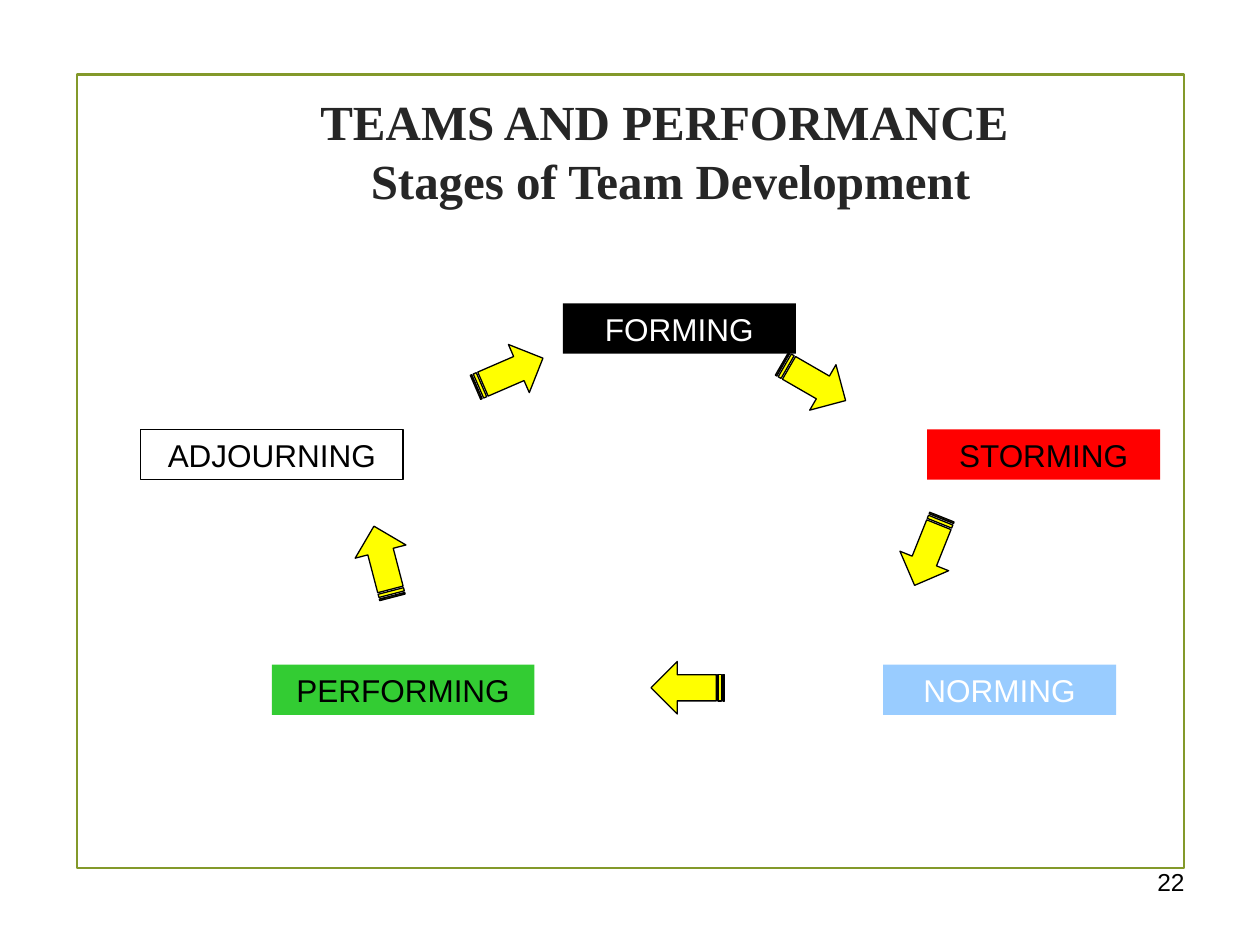
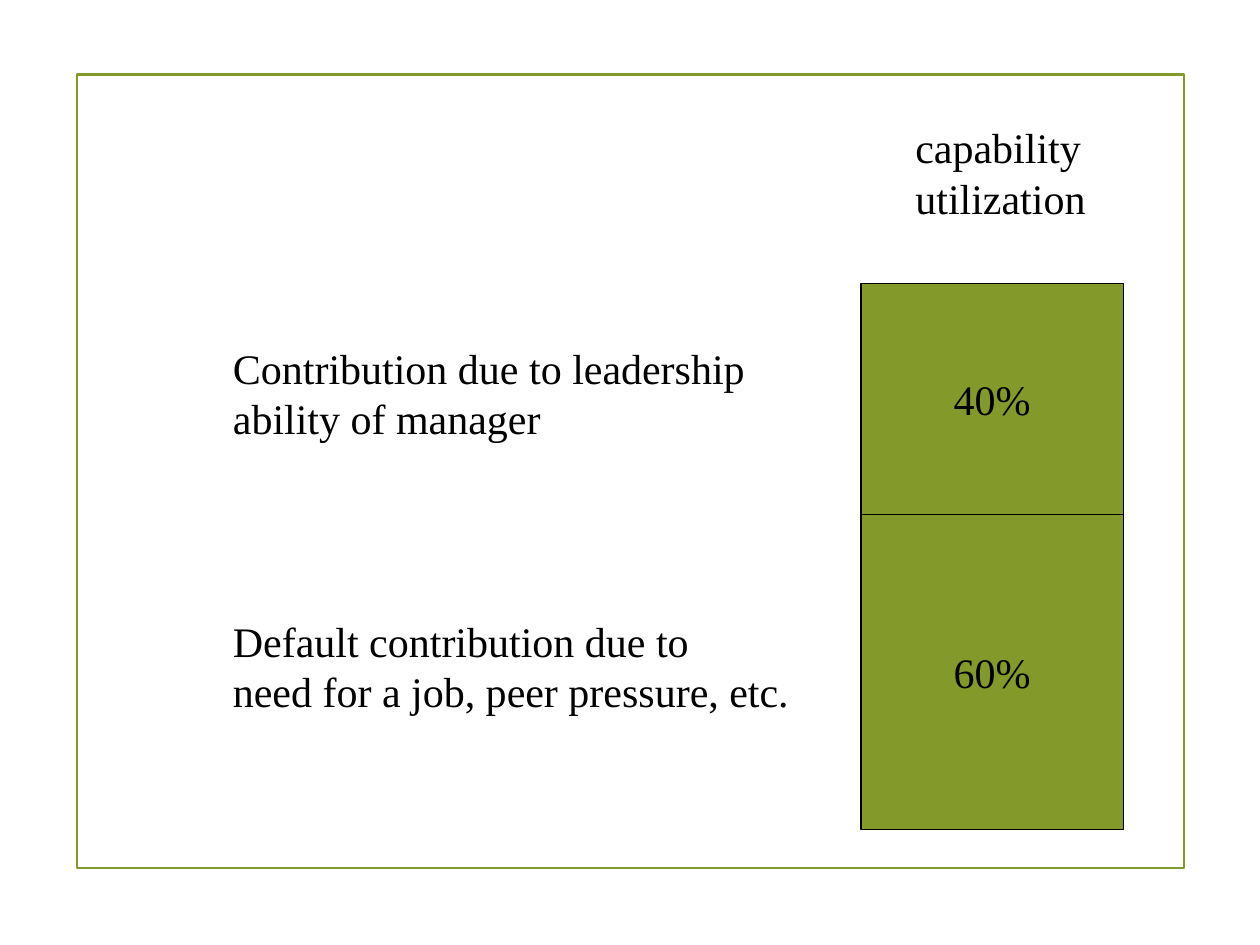
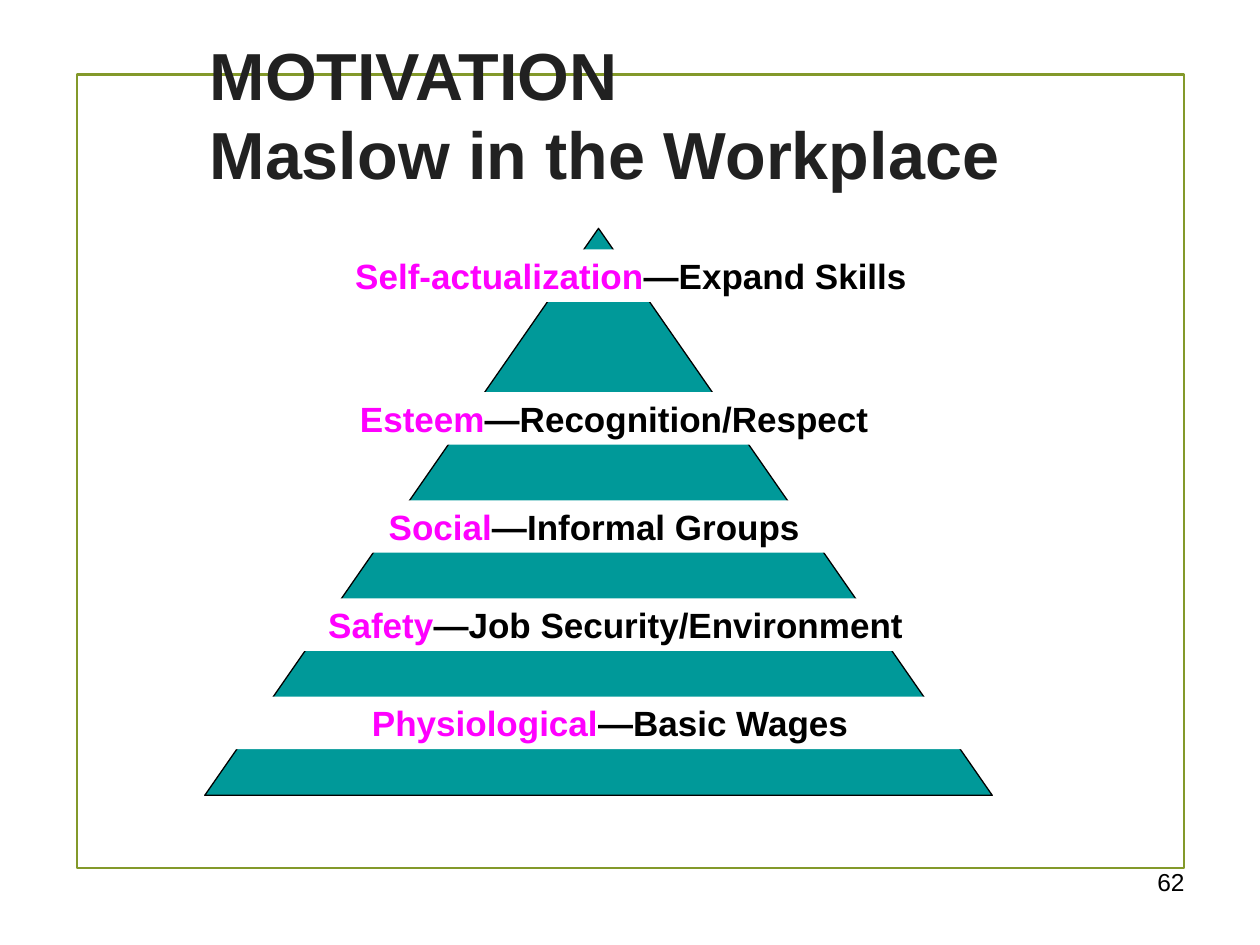
from dataclasses import dataclass

from pptx import Presentation
from pptx.dml.color import RGBColor
from pptx.enum.shapes import MSO_SHAPE
from pptx.enum.text import MSO_ANCHOR, MSO_AUTO_SIZE, PP_ALIGN
from pptx.util import Inches, Pt

RECTANGLE = MSO_SHAPE.RECTANGLE
TRIANGLE = MSO_SHAPE.ISOSCELES_TRIANGLE
STRIPED_ARROW = MSO_SHAPE.STRIPED_RIGHT_ARROW
LEFT, CENTER, RIGHT = PP_ALIGN.LEFT, PP_ALIGN.CENTER, PP_ALIGN.RIGHT
TOP, MIDDLE = MSO_ANCHOR.TOP, MSO_ANCHOR.MIDDLE

COLUMNS, ROWS = 120, 90
CELL = Inches(10) / COLUMNS
TITLE_ONLY, BLANK = 5, 6


@dataclass(frozen=True)
class Theme:
    sans: str = "Arial"
    serif: str = "Times New Roman"
    black: str = "000000"
    white: str = "FFFFFF"
    olive: str = "83992A"
    red: str = "FF0000"
    sky: str = "99CCFF"
    green: str = "33CC33"
    yellow: str = "FFFF00"
    teal: str = "009999"
    magenta: str = "FF00FF"
    serif_title: str = "262626"
    sans_title: str = "212121"
    page_size: int = 14
    stage_size: int = 18
    level_size: int = 20
    body_size: int = 24
    serif_title_size: int = 28
    sans_title_size: int = 38
    thin: float = 0.75
    frame: float = 1.25


THEME = Theme()


@dataclass(frozen=True)
class Box:
    """An area measured in grid cells."""
    left: float
    top: float
    width: float
    height: float

    def inside(self, left, top, width, height):
        return Box(self.left + left, self.top + top, width, height)

    def lengths(self):
        return [round(cells * CELL) for cells in
                (self.left, self.top, self.width, self.height)]


def format_font(font, name, size, color, bold=False):
    font.name, font.size, font.bold = name, Pt(size), bold
    font.color.rgb = RGBColor.from_string(color)


def write(shape, text, name, size, color, align=LEFT, anchor=TOP, bold=False):
    frame = shape.text_frame
    frame.text = text
    frame.word_wrap = True
    frame.auto_size = MSO_AUTO_SIZE.NONE
    frame.vertical_anchor = anchor
    for paragraph in frame.paragraphs:
        paragraph.alignment = align
        for run in paragraph.runs:
            format_font(run.font, name, size, color, bold)


def add_figure(slide, kind, box, fill=None, line=None, weight=THEME.thin):
    shape = slide.shapes.add_shape(kind, *box.lengths())
    shape.shadow.inherit = False
    if fill:
        shape.fill.solid()
        shape.fill.fore_color.rgb = RGBColor.from_string(fill)
    else:
        shape.fill.background()
    if line:
        shape.line.color.rgb = RGBColor.from_string(line)
        shape.line.width = Pt(weight)
    else:
        shape.line.fill.background()
    return shape


def add_text(slide, box, text, name, size, align=LEFT):
    text_box = slide.shapes.add_textbox(*box.lengths())
    write(text_box, text, name, size, THEME.black, align)


def add_page_number(slide, number):
    add_text(slide, Box(86, 82, 28, 6.2), number, THEME.sans,
             THEME.page_size, RIGHT)


def add_title(slide, box, text, name, size, color, align):
    title = slide.shapes.title
    title.left, title.top, title.width, title.height = box.lengths()
    write(title, text, name, size, color, align, MIDDLE, bold=True)
    return title


def add_master_frame(presentation, slide):
    """Draw the border on a slide, then move it to the master behind every slide."""
    border = add_figure(slide, RECTANGLE, Box(7.3, 7.1, 105.5, 75.6),
                        line=THEME.olive, weight=THEME.frame)
    border.element.nvSpPr.cNvPr.id = 20
    presentation.slide_master.shapes.element.append(border.element)


def add_stage_cycle(slide, box):
    stages = [
        ("FORMING", 40.2, 0, 22.2, THEME.black, None, THEME.white),
        ("STORMING", 74.9, 12, 22.2, THEME.red, None, THEME.black),
        ("NORMING", 70.7, 34.4, 22.2, THEME.sky, None, THEME.white),
        ("PERFORMING", 12.5, 34.4, 25, THEME.green, None, THEME.black),
        ("ADJOURNING", 0, 12, 25, None, THEME.black, THEME.black),
    ]
    for name, left, top, width, fill, line, color in stages:
        stage = add_figure(slide, RECTANGLE, box.inside(left, top, width, 4.8),
                           fill, line)
        write(stage, name, THEME.sans, THEME.stage_size, color, CENTER)

    arrows = [(60.6, 5, 30), (71.5, 21.1, 111.8), (48.6, 34.1, 180),
              (19.6, 22.1, 255.4), (31.6, 4.1, 336.6)]
    for left, top, angle in arrows:
        arrow = add_figure(slide, STRIPED_ARROW, box.inside(left, top, 7, 5),
                           THEME.yellow, THEME.black)
        arrow.rotation = angle


def add_utilization_bar(slide, box):
    top = 0
    for label, height in (("40%", 22), ("60%", 30)):
        part = add_figure(slide, RECTANGLE,
                          box.inside(0, top, box.width, height),
                          THEME.olive, THEME.black)
        write(part, label, THEME.serif, THEME.body_size, THEME.black,
              CENTER, MIDDLE)
        top += height


def set_narrow_margins(frame):
    frame.margin_left = frame.margin_right = Inches(0.08)
    frame.margin_top = frame.margin_bottom = Inches(0.04)


def add_needs_pyramid(slide, box):
    add_figure(slide, TRIANGLE, box, THEME.teal, THEME.black)
    levels = [
        ("Physiological", "—Basic Wages", -4.9, 44.6, 87),
        ("Safety", "—Job Security/Environment ", 5.1, 35.25, 69),
        ("Social", "—Informal Groups", 13.1, 25.9, 48),
        ("Esteem", "—Recognition/Respect", 10, 15.6, 58),
        ("Self-actualization", "—Expand Skills", 7.1, 2, 67),
    ]
    for need, example, left, top, width in levels:
        band = add_figure(slide, RECTANGLE, box.inside(left, top, width, 5),
                          THEME.white)
        write(band, need, THEME.sans, THEME.level_size, THEME.magenta,
              CENTER, bold=True)
        set_narrow_margins(band.text_frame)
        run = band.text_frame.paragraphs[0].add_run()
        run.text = example
        format_font(run.font, THEME.sans, THEME.level_size, THEME.black, True)


def build_stages_slide(slide):
    add_page_number(slide, "22")
    add_title(slide, Box(15.5, 6.8, 96.7, 15),
              "TEAMS AND PERFORMANCE \nStages of Team Development",
              THEME.serif, THEME.serif_title_size, THEME.serif_title, CENTER)
    add_stage_cycle(slide, Box(13.4, 28.9, 97.1, 39.2))


def build_utilization_slide(slide):
    add_utilization_bar(slide, Box(82, 27, 25, 52))
    notes = [
        ("capability\nutilization", 86, 11, 18.6),
        ("Contribution due to leadership\nability of manager", 21, 32, 52),
        ("Default contribution due to\nneed for a job, peer pressure, etc.",
         21, 58, 56.4),
    ]
    for text, left, top, width in notes:
        add_text(slide, Box(left, top, width, 10.8), text, THEME.serif,
                 THEME.body_size)


def build_motivation_slide(slide):
    add_page_number(slide, "62")
    title = add_title(slide, Box(19, 4.9, 83.3, 11.8),
                      "MOTIVATION\nMaslow in the Workplace", THEME.sans,
                      THEME.sans_title_size, THEME.sans_title, LEFT)
    set_narrow_margins(title.text_frame)
    add_needs_pyramid(slide, Box(19.5, 21.75, 75, 54))


def main():
    presentation = Presentation()
    presentation.slide_width = round(COLUMNS * CELL)
    presentation.slide_height = round(ROWS * CELL)
    pages = [(TITLE_ONLY, build_stages_slide),
             (BLANK, build_utilization_slide),
             (TITLE_ONLY, build_motivation_slide)]
    for layout, build in pages:
        slide = presentation.slides.add_slide(presentation.slide_layouts[layout])
        build(slide)
    add_master_frame(presentation, slide)
    presentation.save("out.pptx")


if __name__ == "__main__":
    main()
